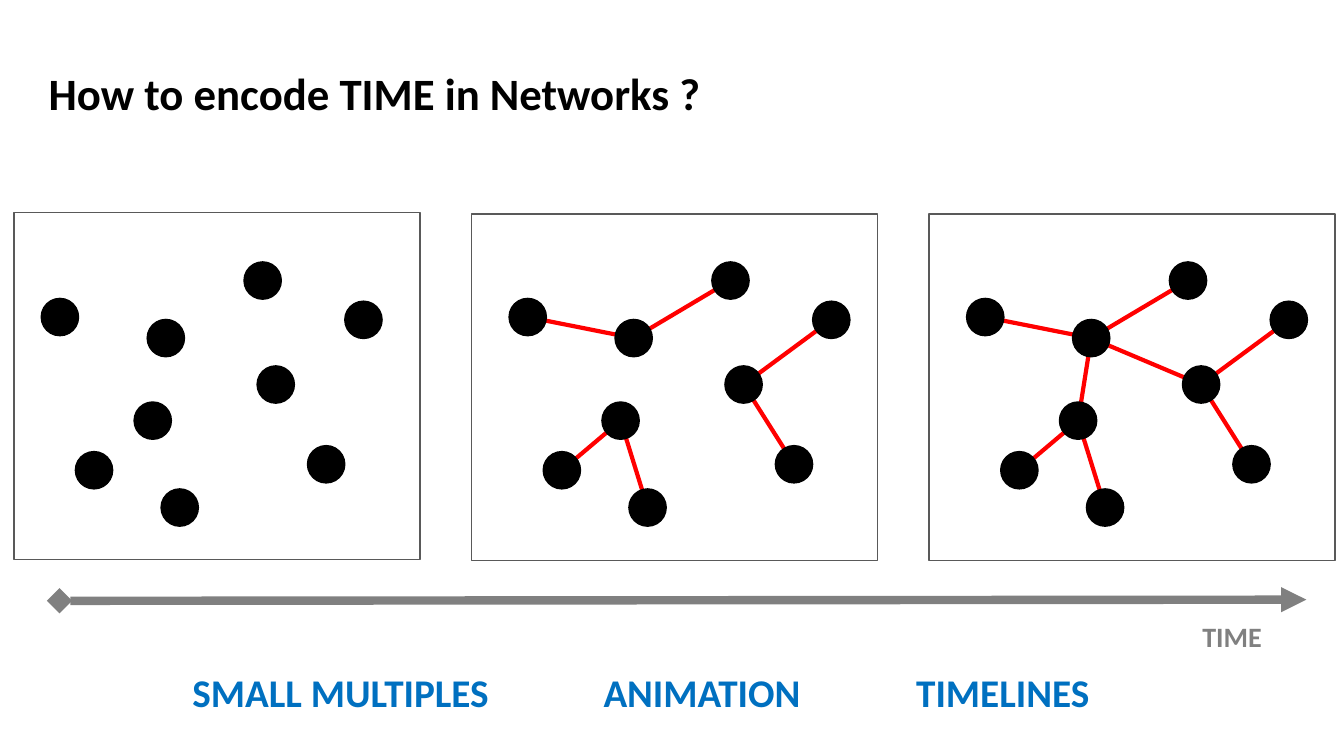
import pptx
import pptx.util
import pptx.dml.color
import pptx.enum.shapes
import pptx.enum.text
import pptx.oxml
import pptx.oxml.ns
from lxml import etree

Cm = pptx.util.Cm
Pt = pptx.util.Pt
RGBColor = pptx.dml.color.RGBColor
MSO_SHAPE = pptx.enum.shapes.MSO_SHAPE
qn = pptx.oxml.ns.qn

BLACK = RGBColor(0x00, 0x00, 0x00)
RED = RGBColor(0xFF, 0x00, 0x00)
GRAY = RGBColor(0x80, 0x80, 0x80)
FRAME_GRAY = RGBColor(0x59, 0x59, 0x59)
BLUE = RGBColor(0x00, 0x70, 0xC0)

NODE_SIZE = 0.94
NODES = {
    "hub": (2.67, 8.05),
    "right hub": (5.44, 9.22),
    "bottom left": (0.86, 11.38),
    "far right": (7.65, 7.59),
    "bottom": (3.02, 12.32),
    "left hub": (2.34, 10.13),
    "bottom right": (6.71, 11.23),
    "top": (5.11, 6.6),
    "far left": (0, 7.52),
}
EDGES = [
    ("far right", "right hub"),
    ("left hub", "bottom"),
    ("left hub", "bottom left"),
    ("far left", "hub"),
    ("top", "hub"),
    ("right hub", "bottom right"),
]
BRIDGES = [("hub", "right hub"), ("left hub", "hub")]
PANELS = [(24.36, BRIDGES + EDGES), (12.83, EDGES), (1.04, [])]


def add_line(shapes, x1, y1, x2, y2, color, width):
    c = shapes.add_connector(pptx.enum.shapes.MSO_CONNECTOR.STRAIGHT,
                             Cm(x1), Cm(y1), Cm(x2), Cm(y2))
    c.line.color.rgb = color
    c.line.width = Pt(width)
    etree.SubElement(c._element.spPr, qn("a:effectLst"))
    return c


def set_text(tf, text, size, color):
    p = tf.paragraphs[0]
    p.text = text
    p.font.name = "Calibri"
    p.font.size = Pt(size)
    p.font.bold = True
    p.font.color.rgb = color
    return p


prs = pptx.Presentation()
prs.slide_width = Cm(33.87)
prs.slide_height = Cm(19.05)
s = prs.slides.add_slide(prs.slide_layouts[5])

title = s.shapes.title
title.left, title.top, title.width, title.height = Cm(0.97), Cm(0.15), Cm(19.61), Cm(5.74)
tf = title.text_frame
tf.vertical_anchor = pptx.enum.text.MSO_ANCHOR.TOP
tf.margin_top = Cm(1.5)
p = set_text(tf, "How to encode TIME in Networks ?", 32, BLACK)
p.alignment = pptx.enum.text.PP_ALIGN.LEFT

for left, edges in PANELS:
    network = s.shapes.add_group_shape()
    center = left + NODE_SIZE / 2
    for start, end in edges:
        (x1, y1), (x2, y2) = NODES[start], NODES[end]
        add_line(network.shapes, center + x1, y1 + NODE_SIZE / 2,
                 center + x2, y2 + NODE_SIZE / 2, RED, 3)
    for x, y in NODES.values():
        node = network.shapes.add_shape(MSO_SHAPE.OVAL, Cm(left + x), Cm(y),
                                        Cm(NODE_SIZE), Cm(NODE_SIZE))
        node.shadow.inherit = False
        node.fill.solid()
        node.fill.fore_color.rgb = BLACK
        node.line.color.rgb = BLACK
        node.line.width = Pt(1)

arrow = add_line(s.shapes, 1.5, 15.14, 32.92, 15.11, GRAY, 6)
ln = arrow.line._get_or_add_ln()
for tag, kind in (("a:headEnd", "diamond"), ("a:tailEnd", "triangle")):
    etree.SubElement(ln, qn(tag), type=kind)

for i, top in enumerate((5.36, 5.39, 5.39)):
    frame = s.shapes.add_shape(MSO_SHAPE.RECTANGLE, Cm(0.35 + 11.53 * i), Cm(top),
                               Cm(10.24), Cm(8.74))
    frame.shadow.inherit = False
    frame.fill.background()
    frame.line.color.rgb = FRAME_GRAY
    frame.line.width = Pt(1)

time_label = s.shapes.add_textbox(Cm(30.05), Cm(15.49), Cm(2.03), Cm(1.12))
time_label.text_frame.word_wrap = False
set_text(time_label.text_frame, "TIME", 20, GRAY)

methods = s.shapes.add_textbox(Cm(4.6), Cm(16.71), Cm(23.34), Cm(1.45))
tf = methods.text_frame
tf.word_wrap = True
tabs = etree.SubElement(tf.paragraphs[0]._p.get_or_add_pPr(), qn("a:tabLst"))
for stop in (10.36, 18.24):
    etree.SubElement(tabs, qn("a:tab"), pos=str(Cm(stop)), algn="l")
set_text(tf, "SMALL MULTIPLES\tANIMATION\tTIMELINES", 28, BLUE)

prs.save("out.pptx")
